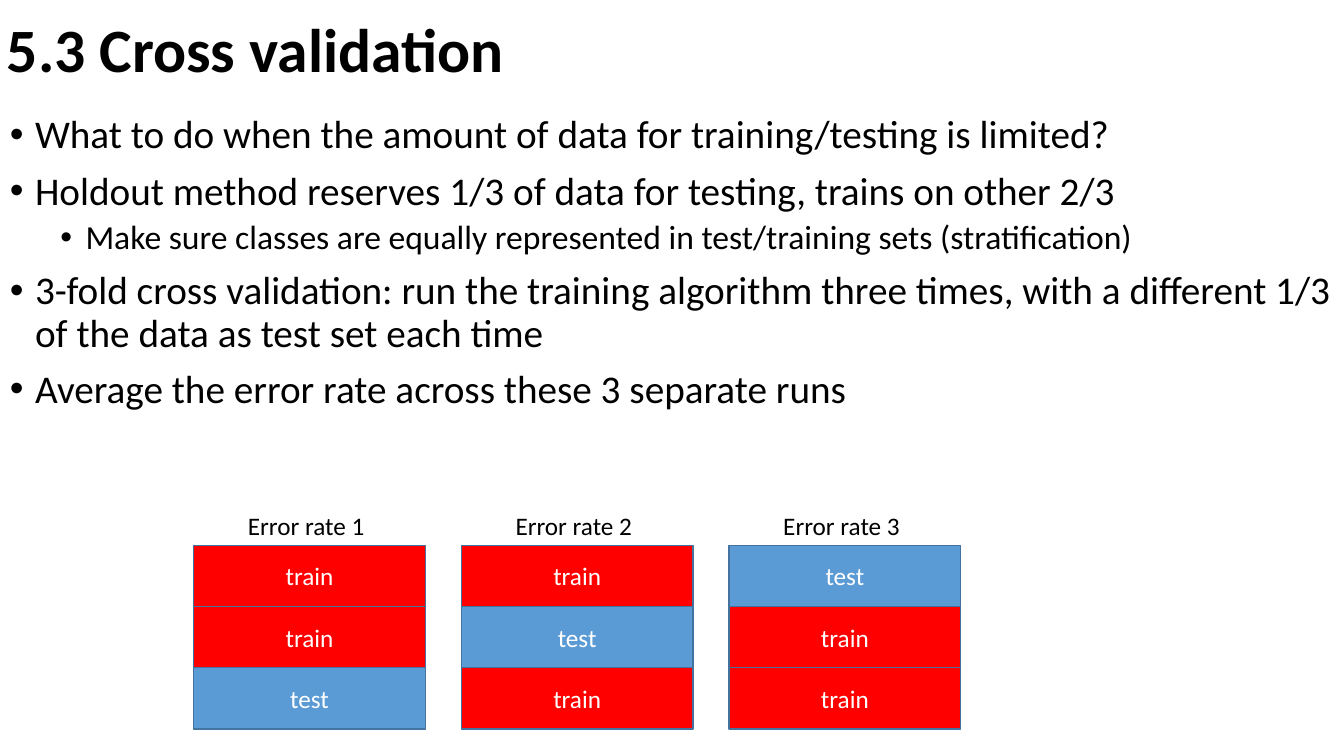
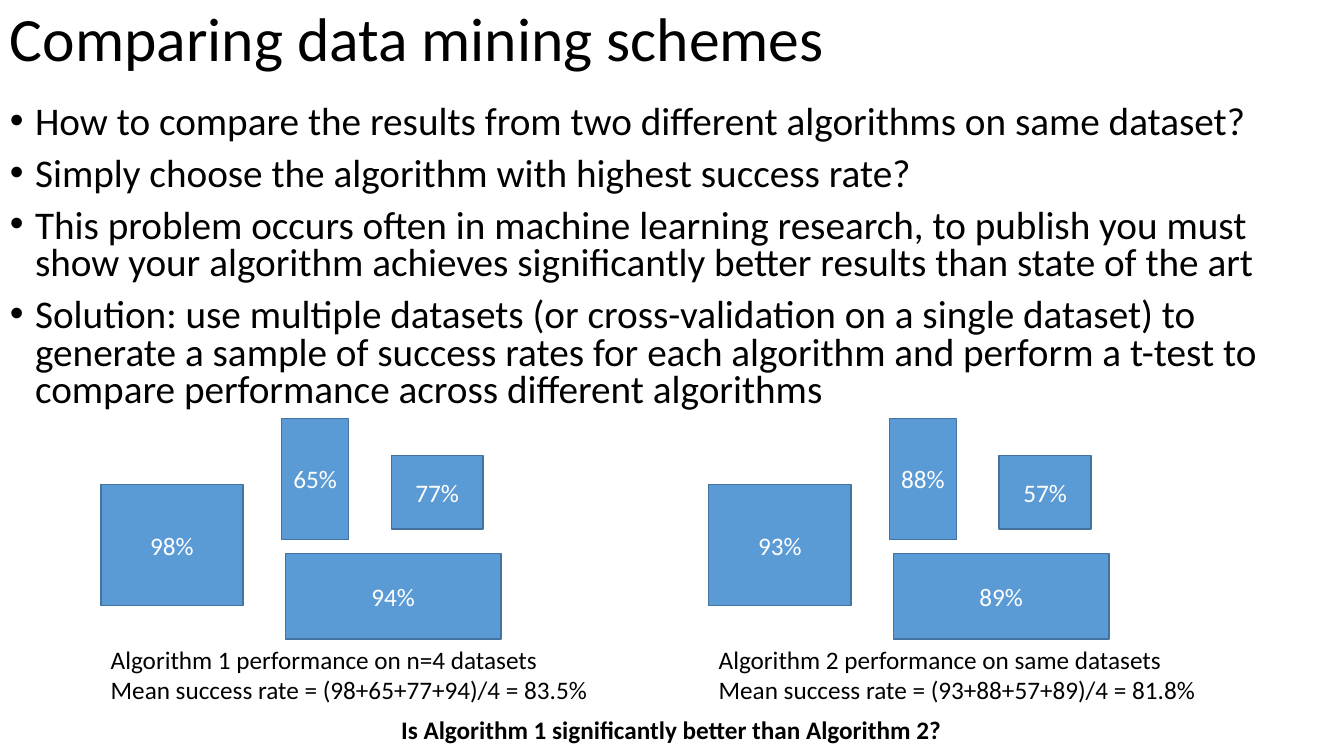
from lxml import etree
from pptx import Presentation
from pptx import util as u
from pptx.dml.color import RGBColor
from pptx.enum import shapes, text
from pptx.oxml.ns import qn

FONT = "Calibri"
BLACK, WHITE = "000000", "FFFFFF"
BLUE, RED, EDGE = "5B9BD5", "FF0000", "43739E"
MIDDLE = text.MSO_ANCHOR.MIDDLE
CENTER = text.PP_ALIGN.CENTER

FOLDS = 3
FOLD_LEFT, FOLD_TOP, FOLD_STEP = 1.92, 5.41, 2.655
FOLD_W, FOLD_H = 2.3, 0.607

# Dataset boxes, relative to the left edge of their group
DATASET_BOXES = [(0, 4.81, 1.41, 1.2), (1.79, 4.15, 0.67, 1.2),
                 (2.88, 4.52, 0.91, 0.73), (1.83, 5.49, 2.14, 0.85)]

VALIDATION_POINTS = [
    (0, "What to do when the amount of data for training/testing is limited?"),
    (0, "Holdout method reserves 1/3 of data for testing, trains on other 2/3"),
    (1, "Make sure classes are equally represented in test/training sets (stratification)"),
    (0, "3-fold cross validation: run the training algorithm three times, "
        "with a different 1/3 of the data as test set each time"),
    (0, "Average the error rate across these 3 separate runs"),
]
COMPARISON_POINTS = [
    (0, "How to compare the results from two different algorithms on same dataset?"),
    (0, "Simply choose the algorithm with highest success rate?"),
    (0, "This problem occurs often in machine learning research, to publish you must "
        "show your algorithm achieves significantly better results than state of the art"),
    (0, "Solution: use multiple datasets (or cross-validation on a single dataset) to "
        "generate a sample of success rates for each algorithm and perform a t-test to "
        "compare performance across different algorithms"),
]
ALGORITHMS = [
    (1, (98, 65, 77, 94), ["Algorithm 1 performance on n=4 datasets",
                           "Mean success rate = (98+65+77+94)/4 = 83.5%"]),
    (7.03, (93, 88, 57, 89), ["Algorithm 2 performance on same datasets",
                              "Mean success rate = (93+88+57+89)/4 = 81.8%"]),
]


def rgb(value):
    return RGBColor.from_string(value)


def inches(*values):
    return [u.Inches(v) for v in values]


def write(p, content, size=18, color=BLACK, bold=False, **para_format):
    """Add one styled run to paragraph p and set paragraph attributes."""
    r = p.add_run()
    r.text = content
    for name, value in {"name": FONT, "size": u.Pt(size), "bold": bold}.items():
        setattr(r.font, name, value)
    r.font.color.rgb = rgb(color)
    for name, value in para_format.items():
        setattr(p, name, value)


def add_text(slide, box, lines, anchor=text.MSO_ANCHOR.TOP, **style):
    tf = slide.shapes.add_textbox(*inches(*box)).text_frame
    tf.word_wrap = True
    tf.vertical_anchor = anchor
    for i, line in enumerate(lines):
        p = tf.add_paragraph() if i else tf.paragraphs[0]
        write(p, line, **style)
    return tf


def add_title(slide, box, title, bold=False):
    add_text(slide, box, [title], MIDDLE, size=44, bold=bold, line_spacing=0.9)


def set_bullet(p, level):
    pPr = p._p.get_or_add_pPr()
    pPr.set("marL", str(u.Inches(0.25 + 0.5 * level)))
    pPr.set("indent", str(u.Inches(-0.25)))
    etree.SubElement(pPr, qn("a:buFont")).set("typeface", "Arial")
    etree.SubElement(pPr, qn("a:buChar")).set("char", "•")


def add_bullets(slide, box, points, line_spacing):
    tf = add_text(slide, box, [])
    for i, (level, point) in enumerate(points):
        p = tf.add_paragraph() if i else tf.paragraphs[0]
        write(p, point, size=24 if level else 28, level=level,
              line_spacing=line_spacing, space_before=u.Pt(5 if level else 10))
        set_bullet(p, level)


def add_box(slide, box, label, fill=BLUE):
    sp = slide.shapes.add_shape(shapes.MSO_SHAPE.RECTANGLE, *inches(*box))
    sp.shadow.inherit = False
    sp.fill.solid()
    sp.fill.fore_color.rgb = rgb(fill)
    sp.line.color.rgb = rgb(EDGE)
    sp.line.width = u.Pt(1)
    tf = sp.text_frame
    tf.vertical_anchor = MIDDLE
    write(tf.paragraphs[0], label, color=WHITE, alignment=CENTER)


def add_fold_run(slide, run):
    """Draw one run as a stack; the test fold moves up with each run."""
    left = FOLD_LEFT + run * FOLD_STEP
    for row in range(FOLDS):
        label, fill = ("test", BLUE) if row == FOLDS - 1 - run else ("train", RED)
        add_box(slide, (left, FOLD_TOP + row * FOLD_H, FOLD_W, FOLD_H), label, fill)
    add_text(slide, (left + 0.44, 5.01, 1.86, 0.4), [f"Error rate {run + 1}"])


def add_algorithm(slide, left, rates, summary):
    for (dx, top, width, height), rate in zip(DATASET_BOXES, rates):
        add_box(slide, (left + dx, top, width, height), f"{rate}%")
    add_text(slide, (left, 6.34, 5.13, 0.71), summary)


def cross_validation(slide):
    add_title(slide, (-0.03, 0.11, 12.42, 0.83), "5.3 Cross validation", bold=True)
    add_bullets(slide, (0, 1.09, 13.33, 5.21), VALIDATION_POINTS, 0.9)
    for run in range(FOLDS):
        add_fold_run(slide, run)


def comparing_schemes(slide):
    add_title(slide, (0, 0, 11.5, 0.83), "Comparing data mining schemes")
    add_bullets(slide, (0, 1, 13.33, 3.36), COMPARISON_POINTS, 0.8)
    for algorithm in ALGORITHMS:
        add_algorithm(slide, *algorithm)
    add_text(slide, (3.88, 7.04, 5.74, 0.4),
             ["Is Algorithm 1 significantly better than Algorithm 2?"], bold=True)


def main():
    prs = Presentation()
    prs.slide_width, prs.slide_height = inches(13.33, 7.5)
    for build in (cross_validation, comparing_schemes):
        build(prs.slides.add_slide(prs.slide_layouts[6]))
    prs.save("out.pptx")


if __name__ == "__main__":
    main()
